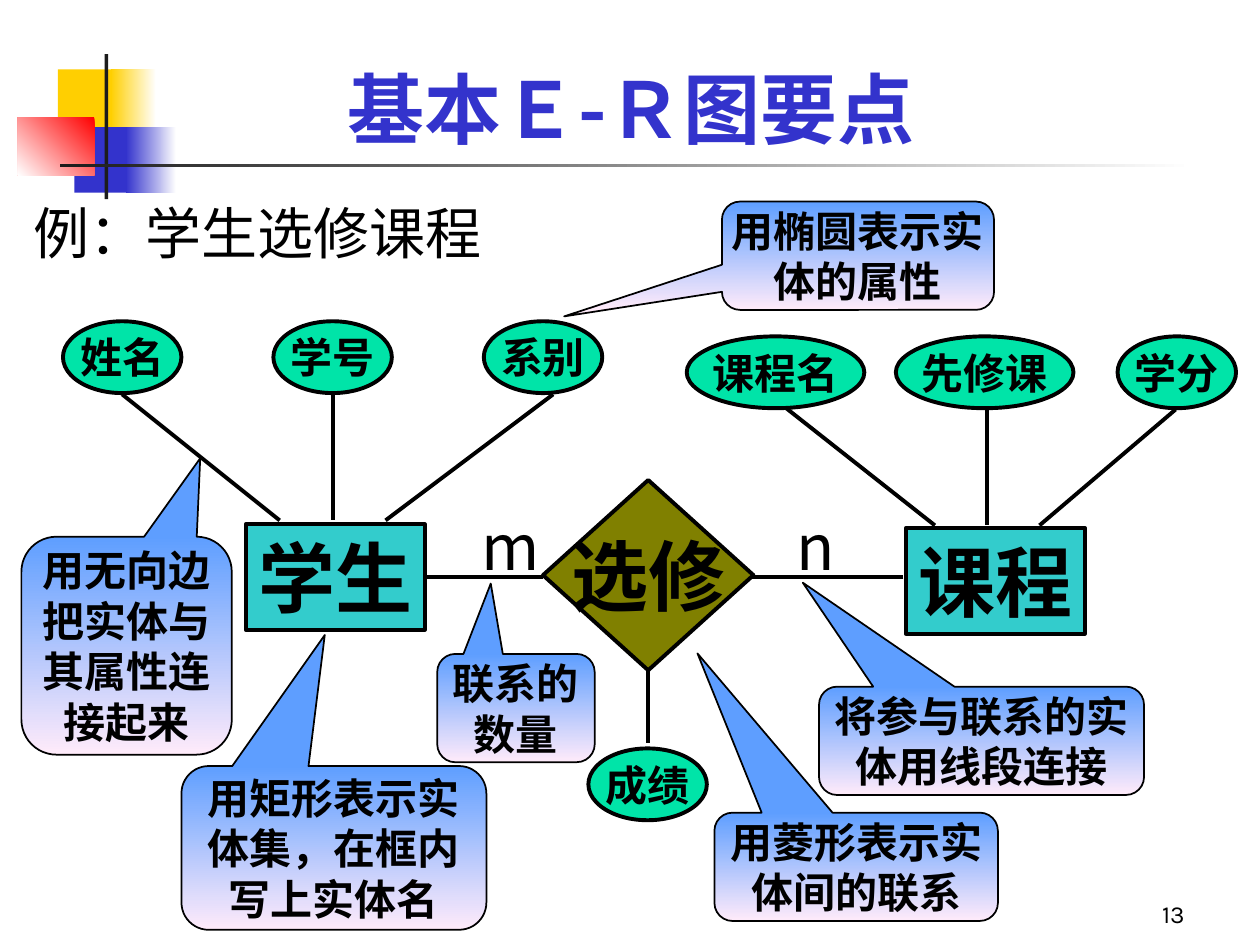
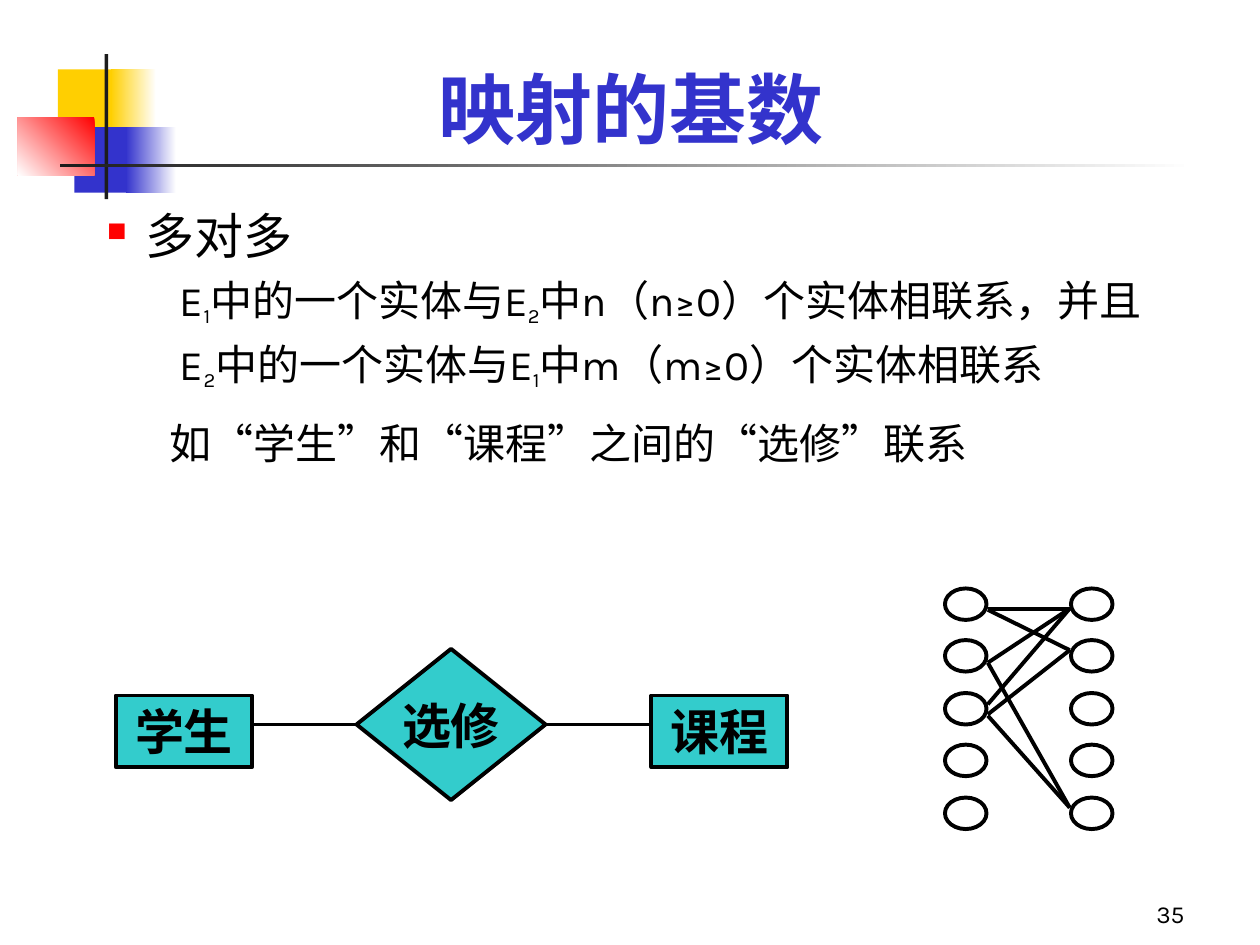
from dataclasses import dataclass
from typing import NamedTuple

from lxml import etree
from pptx import Presentation
from pptx import util as u
from pptx.dml.color import RGBColor
from pptx.enum import shapes, text
from pptx.oxml import ns

PX = 9144  # 100 px to the inch
INK = {
    "black": "000000", "white": "FFFFFF", "dark": "1C1C1C", "blue": "3333CC",
    "gold": "FFCF01", "red": "FF0000", "teal": "33CCCC", "olive": "808000",
    "green": "00E4A8", "sky": "5E9EFF", "pink": "FFEBFA",
}
SANS, BODY, SERIF = "Noto Sans CJK SC", "Karla", "Times New Roman"
KIND = shapes.MSO_SHAPE
ALIGN = text.PP_ALIGN
SIDE = text.MSO_ANCHOR


class Box(NamedTuple):
    x: int
    y: int
    w: int
    h: int


class Fade(NamedTuple):
    start: str
    end: str
    angle: int  # counter-clockwise


class Run(NamedTuple):
    words: str
    size: int
    base: int = 0


@dataclass
class Style:
    size: int
    face: str = SANS
    ink: str = "black"
    bold: bool = False
    align: ALIGN = ALIGN.CENTER
    side: SIDE = SIDE.MIDDLE
    wrap: bool = False
    pad: tuple[int, int] = (10, 5)


@dataclass
class Node:
    kind: KIND
    box: Box
    fill: str | Fade | None
    words: str = ""
    style: Style | None = None
    edge: float = 2.25
    tip: tuple[float, float] | None = None


@dataclass
class Para:
    runs: list[Run]
    left: int
    hang: int
    before: int
    mark: bool = False


TITLE = Style(44, ink="blue", bold=True, side=SIDE.BOTTOM, wrap=True)
NUMBER = Style(14, BODY, align=ALIGN.RIGHT, side=SIDE.BOTTOM, wrap=True)
LEAD = Style(32, align=ALIGN.LEFT, side=SIDE.TOP, wrap=True)
BIG = Style(44, bold=True)
SMALL = Style(24, bold=True, pad=(0, 0))
NOTE = Style(24, bold=True, wrap=True, pad=(0, 0))
COUNT = Style(36)
ENTITY = Style(28, SERIF, bold=True, side=SIDE.TOP, wrap=True)
LINK = Style(28, SERIF, bold=True)
LIST = Style(24, BODY, align=ALIGN.JUSTIFY, side=SIDE.TOP, wrap=True)
GLOW = Fade("sky", "pink", 270)

# Corner blocks and rule lines behind every title
DECOR = [
    (Box(46, 55, 48, 52), "gold"),
    (Box(88, 55, 36, 52), Fade("white", "gold", 180)),
    (Box(59, 101, 46, 52), "blue"),
    (Box(100, 101, 40, 52), Fade("white", "blue", 180)),
    (Box(14, 93, 61, 46), Fade("red", "white", 225)),
    (Box(83, 43, 3, 115), "dark"),
    (Box(48, 130, 900, 3), Fade("white", "dark", 180)),
]


def tint(name: str) -> RGBColor:
    return RGBColor.from_string(INK[name])


def scale(box: Box) -> list[int]:
    return [v * PX for v in box]


def setup(frame, style: Style) -> None:
    frame.word_wrap = style.wrap
    frame.vertical_anchor = style.side
    side, top = style.pad
    frame.margin_left = frame.margin_right = side * PX
    frame.margin_top = frame.margin_bottom = top * PX


def add_run(para, run: Run, style: Style) -> None:
    part = para.add_run()
    part.text = run.words
    font = part.font
    font.size, font.bold, font.name = u.Pt(run.size), style.bold, style.face
    font.color.rgb = tint(style.ink)
    props = part._r.get_or_add_rPr()
    etree.SubElement(props, ns.qn("a:ea"), typeface=SANS)
    if run.base:
        props.set("baseline", str(run.base * 1000))


def write(frame, words: str, style: Style) -> None:
    setup(frame, style)
    for i, line in enumerate(words.split("\n")):
        para = frame.add_paragraph() if i else frame.paragraphs[0]
        para.alignment = style.align
        add_run(para, Run(line, style.size), style)


def label(slide, box: Box, words: str, style: Style) -> None:
    write(slide.shapes.add_textbox(*scale(box)).text_frame, words, style)


def paint(shape, fill: str | Fade | None) -> None:
    if fill is None:
        shape.fill.background()
    elif isinstance(fill, Fade):
        shape.fill.gradient()
        shape.fill.gradient_angle = fill.angle
        for stop, name in zip(shape.fill.gradient_stops, fill[:2]):
            stop.color.rgb = tint(name)
    else:
        shape.fill.solid()
        shape.fill.fore_color.rgb = tint(fill)


def draw(slide, node: Node) -> None:
    shape = slide.shapes.add_shape(node.kind, *scale(node.box))
    shape.shadow.inherit = False
    paint(shape, node.fill)
    if node.edge:
        shape.line.color.rgb = tint("black")
        shape.line.width = u.Pt(node.edge)
    else:
        shape.line.fill.background()
    if node.tip:
        shape.adjustments[0], shape.adjustments[1] = node.tip
    if node.style:
        write(shape.text_frame, node.words, node.style)


def join(slide, x1: int, y1: int, x2: int, y2: int) -> None:
    ends = [v * PX for v in (x1, y1, x2, y2)]
    line = slide.shapes.add_connector(shapes.MSO_CONNECTOR.STRAIGHT, *ends)
    line.line.color.rgb = tint("black")
    line.line.width = u.Pt(2.25)
    etree.SubElement(line._element.spPr, ns.qn("a:effectLst"))


def bullet(props) -> None:
    color = etree.SubElement(props, ns.qn("a:buClr"))
    etree.SubElement(color, ns.qn("a:srgbClr"), val=INK["red"])
    etree.SubElement(props, ns.qn("a:buSzPct"), val="55000")
    etree.SubElement(props, ns.qn("a:buChar"), char="■")


def outline(slide, box: Box, paras: list[Para], style: Style) -> None:
    frame = slide.shapes.add_textbox(*scale(box)).text_frame
    setup(frame, style)
    for i, item in enumerate(paras):
        para = frame.add_paragraph() if i else frame.paragraphs[0]
        props = para._p.get_or_add_pPr()
        props.set("marL", str(item.left * PX))
        props.set("indent", str(item.hang * PX))
        if item.mark:
            bullet(props)
        para.alignment = style.align
        para.space_before = u.Pt(item.before)
        for run in item.runs:
            add_run(para, run, style)


def start(deck, title: str, number: str):
    slide = deck.slides.add_slide(deck.slide_layouts[6])
    for box, fill in DECOR:
        draw(slide, Node(KIND.RECTANGLE, box, fill, edge=0))
    label(slide, Box(742, 692, 208, 50), number, NUMBER)
    label(slide, Box(75, 25, 852, 102), title, TITLE)
    return slide


def diagram(deck) -> None:
    slide = start(deck, "基本Ｅ-Ｒ图要点", "13")
    label(slide, Box(17, 153, 392, 64), "例：学生选修课程", LEAD)

    # Entities and their relation
    for x, y, words in [(195, 416, "学生"), (719, 419, "课程")]:
        draw(slide, Node(KIND.RECTANGLE, Box(x, y, 142, 84), "teal", words, BIG))
    draw(slide, Node(KIND.DIAMOND, Box(431, 381, 167, 151), "olive", "选修", BIG))

    # Attributes
    for x, y, w, words in [
        (50, 255, 94, "姓名"), (217, 255, 94, "学号"), (384, 255, 94, "系别"),
        (545, 267, 141, "课程名"), (711, 267, 141, "先修课"),
        (887, 267, 94, "学分"), (467, 594, 94, "成绩"),
    ]:
        draw(slide, Node(KIND.OVAL, Box(x, y, w, 57), "green", words, SMALL))

    # Edges
    for ends in [
        (431, 458, 339, 458), (717, 458, 597, 458), (514, 532, 514, 590),
        (264, 313, 264, 413), (222, 413, 97, 313), (306, 413, 439, 313),
        (742, 417, 624, 324), (825, 417, 933, 325), (783, 325, 783, 417),
    ]:
        join(slide, *ends)

    # Callouts
    for box, tip, words in [
        (Box(144, 608, 242, 130), (-0.03, -1.3), "用矩形表示实体集，在框内写上实体名"),
        (Box(573, 160, 216, 86), (-1.08, 0.56), "用椭圆表示实体的属性"),
        (Box(17, 426, 167, 173), (0.35, -0.86), "用无向边把实体与其属性连接起来"),
        (Box(567, 645, 225, 86), (-0.56, -1.97), "用菱形表示实体间的联系"),
        (Box(650, 545, 258, 86), (-0.55, -1.46), "将参与联系的实体用线段连接"),
        (Box(347, 519, 125, 86), (-0.16, -1.15), "联系的\n数量"),
    ]:
        draw(slide, Node(KIND.ROUNDED_RECTANGULAR_CALLOUT, box, GLOW, words,
                         NOTE, 1, tip))
    for x, words in [(372, "m"), (622, "n")]:
        label(slide, Box(x, 416, 33, 33), words, COUNT)


def mapping(deck) -> None:
    slide = start(deck, "映射的基数", "35")

    # Definition
    one, two = Run("1", 20, -20), Run("2", 20, -20)
    mid = Run("中的一个实体与E", 24)
    outline(slide, Box(25, 158, 954, 242), [
        Para([Run("多对多", 28)], 81, -31, 0, True),
        Para([Run("E", 24), one, mid, two,
              Run("中n（n≥0）个实体相联系，并且", 24)], 108, 0, 6),
        Para([Run("E", 24), two, mid, one,
              Run("中m（m≥0）个实体相联系", 24)], 108, 0, 6),
        Para([Run("如“学生”和“课程”之间的“选修”联系", 24)], 125, -25, 15),
    ], LIST)

    # Entities and their relation
    for x, words in [(92, "学生"), (517, "课程")]:
        draw(slide, Node(KIND.RECTANGLE, Box(x, 552, 108, 57), "teal", words, ENTITY))
    for x in (200, 433):
        join(slide, x, 575, x + 84, 575)
    draw(slide, Node(KIND.DIAMOND, Box(283, 515, 150, 120), "teal", "选修", LINK))

    # Many-to-many mapping
    for x in (750, 850):
        for i in range(5):
            draw(slide, Node(KIND.OVAL, Box(x, 467 + i * 83 // 2, 33, 25), None))
    for y1, y2 in [(483, 483), (484, 516), (526, 483), (526, 641),
                   (559, 483), (567, 516), (568, 641)]:
        join(slide, 784, y1, 849, y2)


def main() -> None:
    deck = Presentation()
    deck.slide_width, deck.slide_height = 1000 * PX, 750 * PX
    diagram(deck)
    mapping(deck)
    deck.save("out.pptx")


if __name__ == "__main__":
    main()
